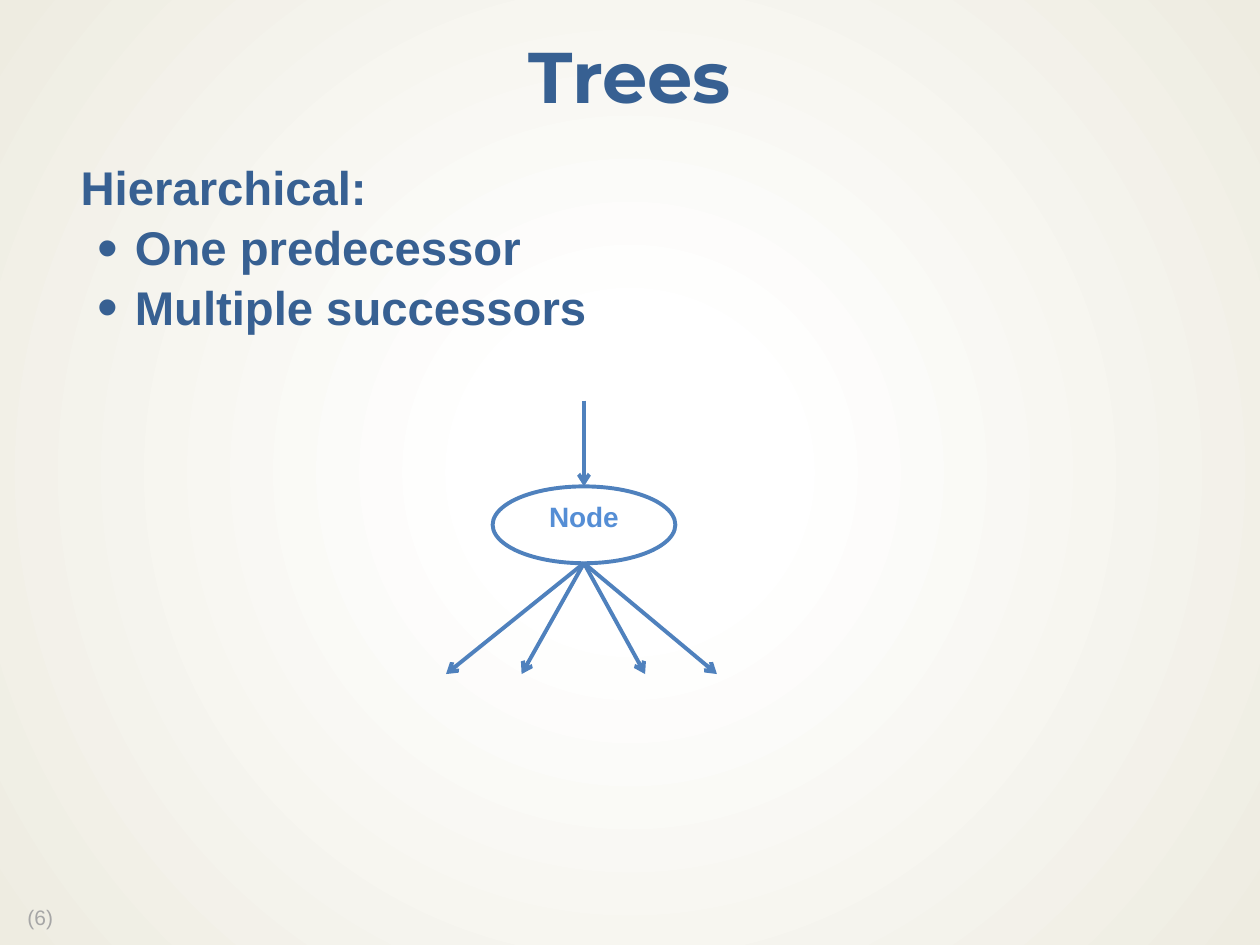
"""Build the slide on trees as hierarchical structures."""
from lxml import etree
from pptx import Presentation, util as u
from pptx.dml.color import RGBColor
from pptx.enum import shapes, text
from pptx.oxml.ns import qn

NAVY, BLUE, SKY, GREY = "376092", "4F81BD", "558ED5", "A6A6A6"


def tint(code):
    """Turn a hex string into a colour."""
    return RGBColor.from_string(code)


def write(frame, line, size=27, hue=NAVY, face="Arial", bold=True, align="LEFT",
          left=0, hang=0, gap=0, mark=None, first=True):
    """Write one paragraph with its format."""
    para = frame.paragraphs[0] if first else frame.add_paragraph()
    para.text = line
    para.alignment = getattr(text.PP_ALIGN, align)
    para.line_spacing = 0.9
    para.space_before = u.Pt(gap)
    props = para._p.get_or_add_pPr()
    props.set("marL", str(u.Inches(left)))
    props.set("indent", str(u.Inches(-hang)))
    if mark:
        etree.SubElement(props, qn("a:buSzPct"), val="125000")
        etree.SubElement(props, qn("a:buFont"), typeface="Arial")
        etree.SubElement(props, qn("a:buChar"), char=mark)
    font = para.runs[0].font
    font.name, font.size, font.bold = face, u.Pt(size), bold
    font.color.rgb = tint(hue)


deck = Presentation()
deck.slide_width, deck.slide_height = u.Inches(10), u.Inches(7.5)
col, row = deck.slide_width / 100, deck.slide_height / 100
slide = deck.slides.add_slide(deck.slide_layouts[5])

fill = slide.background.fill
fill.gradient()
for stop, place, hue in zip(fill.gradient_stops, (0.18, 1), ("FFFFFF", "EEECE1")):
    stop.position, stop.color.rgb = place, tint(hue)
grad = slide._element.find(".//" + qn("a:gradFill"))
grad.remove(grad.find(qn("a:lin")))
path = etree.SubElement(grad, qn("a:path"), path="circle")
etree.SubElement(path, qn("a:fillToRect"), l="50000", t="50000", r="50000", b="50000")

title = slide.shapes.title
title.left, title.top = 0, int(2.27 * row)
title.width, title.height = int(100 * col), int(12.53 * row)
title.text_frame.vertical_anchor = text.MSO_ANCHOR.MIDDLE
write(title.text_frame, "Trees", size=41, face="Montserrat", align="CENTER")

page = slide.shapes.add_textbox(int(1.2 * col), int(95.33 * row), int(5.6 * col), int(3.73 * row))
write(page.text_frame, "(6)", size=12, hue=GREY, bold=False)

body = slide.shapes.add_textbox(int(3.8 * col), int(16.67 * row), int(92.5 * col), int(75.33 * row))
frame = body.text_frame
frame.word_wrap = True
frame.margin_left = frame.margin_right = u.Inches(0.12)
frame.margin_top = frame.margin_bottom = u.Inches(0.06)
write(frame, "Hierarchical:", left=0.14)
for line in ("One predecessor", "Multiple successors"):
    write(frame, line, left=0.57, hang=0.3, gap=5, mark="•", first=False)

node = slide.shapes.add_shape(shapes.MSO_SHAPE.OVAL, int(39.1 * col), int(51.47 * row),
                              int(14.5 * col), int(8.13 * row))
node.shadow.inherit = False
node.fill.background()
node.line.color.rgb, node.line.width = tint(BLUE), u.Pt(2.25)
node.text_frame.vertical_anchor = text.MSO_ANCHOR.TOP
write(node.text_frame, "Node", size=16, hue=SKY, align="CENTER")

mid = 46.35
ends = [(mid, 59.6, x, 71.33) for x in (35.4, 41.4, 51.2, 56.9)]
for x, y, to_x, to_y in ends + [(mid, 42.4, mid, 51.47)]:
    link = slide.shapes.add_connector(shapes.MSO_CONNECTOR.STRAIGHT, int(x * col), int(y * row),
                                      int(to_x * col), int(to_y * row))
    link.line.color.rgb, link.line.width = tint(BLUE), u.Pt(2.25)
    etree.SubElement(link.line._get_or_add_ln(), qn("a:tailEnd"), type="arrow")
    etree.SubElement(link._element.spPr, qn("a:effectLst"))
link.end_connect(node, 0)

deck.save("out.pptx")
